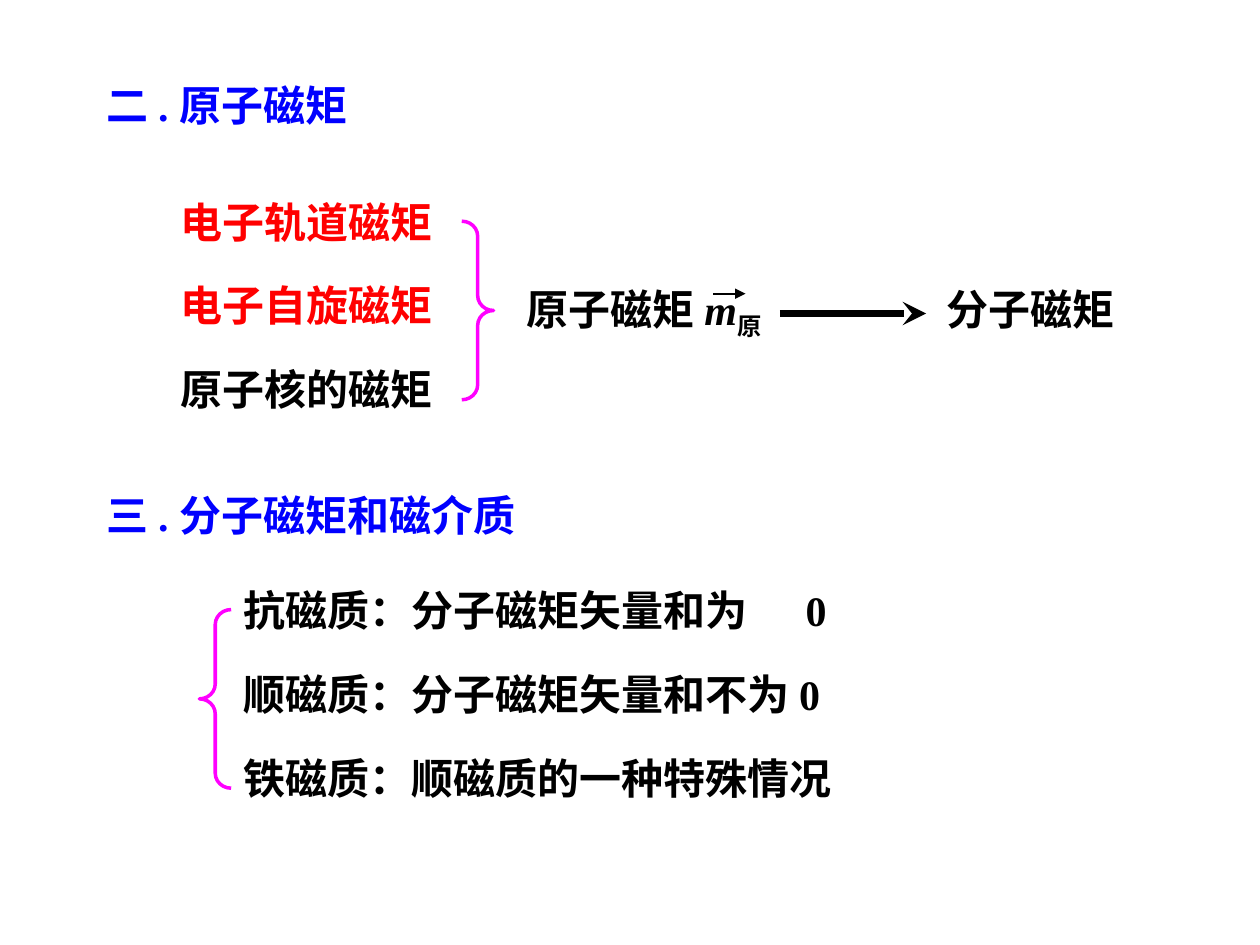
"""Build a slide on atomic and molecular magnetic moments."""
from dataclasses import dataclass

from lxml import etree
from pptx import Presentation
from pptx.dml.color import RGBColor
from pptx.enum.shapes import MSO_CONNECTOR, MSO_SHAPE
from pptx.oxml.ns import qn
from pptx.slide import Slide
from pptx.util import Cm, Pt

STRAIGHT = MSO_CONNECTOR.STRAIGHT
LEFT_BRACE = MSO_SHAPE.LEFT_BRACE
RIGHT_BRACE = MSO_SHAPE.RIGHT_BRACE


@dataclass(frozen=True)
class Theme:
    """Hold the colours, font and sizes of the slide."""
    heading: RGBColor = RGBColor(0x00, 0x00, 0xFF)
    electron: RGBColor = RGBColor(0xFF, 0x00, 0x00)
    ink: RGBColor = RGBColor(0x00, 0x00, 0x00)
    brace: RGBColor = RGBColor(0xFF, 0x00, 0xFF)
    font: str = "Times New Roman"
    text_size: float = 24
    brace_width: float = 2


THEME = Theme()


@dataclass(frozen=True)
class Run:
    """Describe a piece of text with its own slant or baseline."""
    text: str
    italic: bool = False
    baseline: int = 0


@dataclass(frozen=True)
class Label:
    """Describe a line of text, with lengths in centimetres."""
    runs: tuple[Run, ...]
    left: float
    top: float
    width: float
    color: RGBColor = THEME.ink
    height: float = 1.27
    tab: float | None = None


@dataclass(frozen=True)
class Brace:
    """Describe a curly brace, with lengths in centimetres."""
    kind: MSO_SHAPE
    left: float
    top: float


@dataclass(frozen=True)
class Arrow:
    """Describe a level arrow, with lengths in centimetres."""
    start: float
    end: float
    top: float
    width: float
    head: str


ROW_PITCH = 1.69
MOMENT_TOP = 3.83
MEDIUM_TOP = 11.66
MOMENTS = (
    ("电子轨道磁矩", THEME.electron),
    ("电子自旋磁矩", THEME.electron),
    ("原子核的磁矩", THEME.ink),
)
MEDIA = (
    ("抗磁质：分子磁矩矢量和为\t0", 17.78, 1.27, 11.33),
    ("顺磁质：分子磁矩矢量和不为 0", 15.45, 2.82, None),
    ("铁磁质：顺磁质的一种特殊情况", 14.82, 1.27, None),
)
LABELS = (
    Label((Run("二 . 原子磁矩"),), 1.9, 1.48, 10.7, THEME.heading),
    *(Label((Run(text),), 3.39, MOMENT_TOP + row * ROW_PITCH, 8.68, color)
      for row, (text, color) in enumerate(MOMENTS)),
    Label((Run("分子磁矩"),), 18.84, 5.59, 4.45),
    Label((Run("原子磁矩 "), Run("m", italic=True), Run("原", baseline=-25000)),
          10.37, 5.59, 6.14, height=1.42),
    Label((Run("三 . 分子磁矩和磁介质"),), 1.9, 9.75, 10.7, THEME.heading),
    *(Label((Run(text),), 4.66, MEDIUM_TOP + row * ROW_PITCH, width,
            height=height, tab=tab)
      for row, (text, width, height, tab) in enumerate(MEDIA)),
)
BRACES = (Brace(RIGHT_BRACE, 9.31, 4.46), Brace(LEFT_BRACE, 4.02, 12.29))
ARROWS = (
    Arrow(14.38, 15.03, 5.92, 1, "triangle"),
    Arrow(15.72, 18.67, 6.32, 4.5, "stealth"),
)


def add_label(slide: Slide, label: Label) -> None:
    """Add one line of text."""
    shape = slide.shapes.add_textbox(
        Cm(label.left), Cm(label.top), Cm(label.width), Cm(label.height))
    shape.text_frame.word_wrap = True
    paragraph = shape.text_frame.paragraphs[0]
    if label.tab is not None:
        tabs = etree.SubElement(
            paragraph._p.get_or_add_pPr(), qn("a:tabLst"))
        etree.SubElement(
            tabs, qn("a:tab"), pos=str(Cm(label.tab)), algn="l")
    font = paragraph.font
    font.name = THEME.font
    font.size = Pt(THEME.text_size)
    font.bold = True
    font.color.rgb = label.color
    for piece in label.runs:
        run = paragraph.add_run()
        run.text = piece.text
        if piece.italic:
            run.font.italic = True
        if piece.baseline:
            run._r.get_or_add_rPr().set("baseline", str(piece.baseline))


def add_brace(slide: Slide, brace: Brace) -> None:
    """Add one curly brace."""
    shape = slide.shapes.add_shape(
        brace.kind, Cm(brace.left), Cm(brace.top), Cm(0.64), Cm(3.6))
    shape.shadow.inherit = False
    shape.adjustments[0] = 0.47
    shape.fill.background()
    shape.line.color.rgb = THEME.brace
    shape.line.width = Pt(THEME.brace_width)


def add_arrow(slide: Slide, arrow: Arrow) -> None:
    """Add one arrow pointing right."""
    connector = slide.shapes.add_connector(
        STRAIGHT, Cm(arrow.start), Cm(arrow.top), Cm(arrow.end), Cm(arrow.top))
    connector.line.color.rgb = THEME.ink
    connector.line.width = Pt(arrow.width)
    etree.SubElement(
        connector.line._get_or_add_ln(), qn("a:tailEnd"), type=arrow.head)
    etree.SubElement(connector._element.spPr, qn("a:effectLst"))


def main() -> None:
    """Create and save the presentation."""
    presentation = Presentation()
    presentation.slide_width = Cm(25.4)
    presentation.slide_height = Cm(19.05)
    slide = presentation.slides.add_slide(presentation.slide_layouts[6])
    for label in LABELS:
        add_label(slide, label)
    for brace in BRACES:
        add_brace(slide, brace)
    for arrow in ARROWS:
        add_arrow(slide, arrow)
    presentation.save("out.pptx")


if __name__ == "__main__":
    main()
